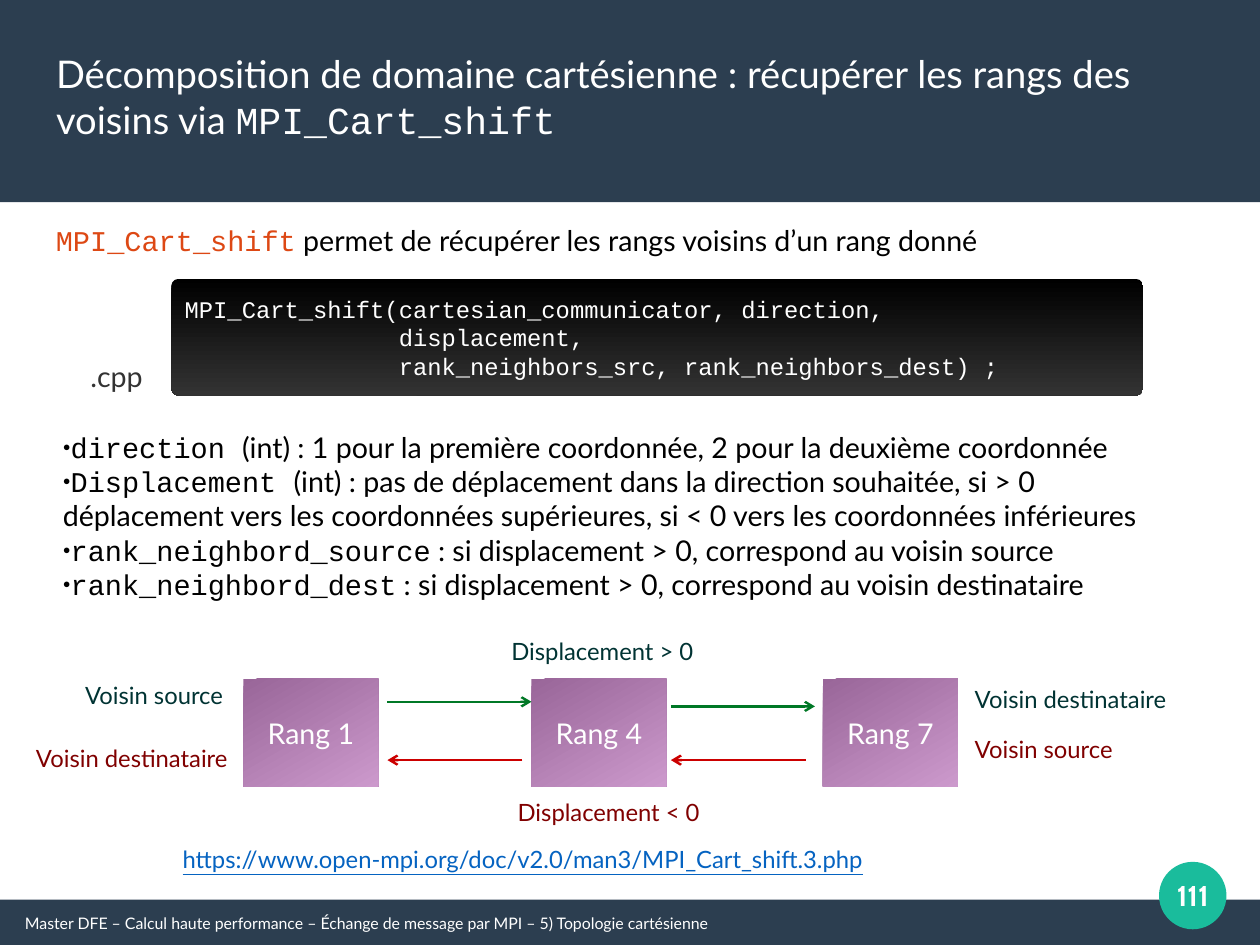
"""Builds the MPI_Cart_shift slide of the high-performance computing course."""
from dataclasses import dataclass
from typing import NamedTuple

from lxml.etree import SubElement
from pptx import Presentation
from pptx.dml.color import RGBColor
from pptx.enum.shapes import MSO_CONNECTOR as CONNECTOR, MSO_SHAPE as SHAPE
from pptx.enum.text import MSO_ANCHOR as ANCHOR, MSO_AUTO_SIZE as AUTO, PP_ALIGN as ALIGN
from pptx.oxml.ns import qn
from pptx.util import Inches, Pt


@dataclass(frozen=True)
class Theme:
    sans: str = "Lato"
    mono: str = "Courier New"
    number: str = "Cabin"
    white: str = "FFFFFF"
    black: str = "000000"
    grey: str = "333333"
    band: str = "2C3E50"
    badge: str = "1ABC9C"
    orange: str = "DD4814"
    link: str = "0563C1"
    purple: tuple[str, str] = ("996699", "CC99CC")
    up_text: str = "003333"
    up_line: str = "007826"
    down_text: str = "800000"
    down_line: str = "CC0000"
    title: int = 24
    body: int = 18
    label: int = 15
    footer: int = 10


T = Theme()


class Run(NamedTuple):
    text: str
    font: str = T.sans
    color: str | None = None


class Box(NamedTuple):
    left: float
    top: float
    width: float
    height: float


class Label(NamedTuple):
    text: str
    box: Box
    color: str
    align: ALIGN = ALIGN.LEFT
    size: int = T.label


class Arrow(NamedTuple):
    start: float
    end: float
    y: float
    color: str


CM_PER_INCH = 2.54
SLIDE_W, SLIDE_H = 28 / CM_PER_INCH, 21 / CM_PER_INCH
HEADER = Box(0, 0, SLIDE_W, 1.77)
FOOTER = Box(0, 7.87, SLIDE_W, SLIDE_H - 7.87)
BADGE = Box(10.14, 7.54, 0.59, 0.59)
RANKS = {"Rang 1": 2.13, "Rang 4": 4.65, "Rang 7": 7.2}
ARROWS = [
    Arrow(3.39, 4.65, 6.14, T.up_line),
    Arrow(5.87, 7.13, 6.18, T.up_line),
    Arrow(4.57, 3.39, 6.65, T.down_line),
    Arrow(7.05, 5.87, 6.65, T.down_line),
]
LABELS = [
    Label("Voisin source", Box(0.24, 5.91, 1.81, 0.44), T.up_text, ALIGN.RIGHT),
    Label("Voisin destinataire", Box(8.43, 5.94, 2.5, 0.44), T.up_text),
    Label("Voisin destinataire", Box(0.04, 6.46, 2.05, 0.43), T.down_text, ALIGN.RIGHT),
    Label("Voisin source", Box(8.43, 6.38, 2.5, 0.44), T.down_text),
    Label("Displacement < 0", Box(4.17, 6.93, 2.05, 0.43), T.down_text, ALIGN.RIGHT),
    Label("Displacement > 0", Box(4.13, 5.52, 2.28, 0.44), T.up_text, ALIGN.CENTER),
    Label(".cpp", Box(0.51, 3.09, 1.02, 0.44), T.grey, ALIGN.CENTER, T.body),
    Label("Master DFE – Calcul haute performance – Échange de message par MPI – 5) Topologie cartésienne",
          Box(0.12, 7.94, 9.45, 0.29), T.white, size=T.footer),
]
TITLE = [[Run("Décomposition de domaine cartésienne : récupérer les rangs des voisins via "),
          Run("MPI_Cart_shift", T.mono)]]
INTRO = [[Run("MPI_Cart_shift", T.mono, T.orange),
          Run(" permet de récupérer les rangs voisins d’un rang donné")]]
CODE = [[Run(line, T.mono)] for line in (
    "MPI_Cart_shift(cartesian_communicator, direction,",
    "               displacement,",
    "               rank_neighbors_src, rank_neighbors_dest) ;",
)]
PARAMETERS = [[Run(name, T.mono), Run(meaning)] for name, meaning in (
    ("direction ", "(int) : 1 pour la première coordonnée, 2 pour la deuxième coordonnée"),
    ("Displacement ", "(int) : pas de déplacement dans la direction souhaitée, si > 0 déplacement "
                      "vers les coordonnées supérieures, si < 0 vers les coordonnées inférieures"),
    ("rank_neighbord_source", " : si displacement > 0, correspond au voisin source"),
    ("rank_neighbord_dest", " : si displacement > 0, correspond au voisin destinataire"),
)]
LINK = [[Run("https://www.open-mpi.org/doc/v2.0/man3/MPI_Cart_shift.3.php")]]


def inches(box: Box) -> list[int]:
    return [Inches(value) for value in box]


def write(sp, paragraphs: list[list[Run]], *, size: int, color: str = T.black, align: ALIGN = ALIGN.LEFT,
          anchor: ANCHOR = ANCHOR.TOP, bold: bool = False, underline: bool = False,
          bullet: bool = False, inset: tuple[float, float] = (0.1, 0.05)) -> None:
    tf = sp.text_frame
    tf.word_wrap, tf.auto_size, tf.vertical_anchor = True, AUTO.NONE, anchor
    tf.margin_left = tf.margin_right = Inches(inset[0])
    tf.margin_top = tf.margin_bottom = Inches(inset[1])
    for i, runs in enumerate(paragraphs):
        p = tf.add_paragraph() if i else tf.paragraphs[0]
        if bullet:
            add_bullet(p)
        p.alignment, p.line_spacing = align, 1.0
        p.space_before = p.space_after = Pt(0)
        for run in runs:
            r = p.add_run()
            r.text = run.text
            r.font.name, r.font.size = run.font, Pt(size)
            r.font.bold, r.font.underline = bold, underline
            r.font.color.rgb = RGBColor.from_string(run.color or color)


def add_bullet(p) -> None:
    pPr = p._p.get_or_add_pPr()
    pPr.set("marL", "0")
    pPr.set("indent", "0")
    SubElement(pPr, qn("a:buSzPct")).set("val", "45000")
    SubElement(pPr, qn("a:buChar")).set("char", "●")


def add_block(slide, kind: SHAPE, box: Box, *colors: str, angle: int = 0):
    sp = slide.shapes.add_shape(kind, *inches(box))
    sp.shadow.inherit = False
    sp.line.fill.background()
    if len(colors) == 1:
        sp.fill.solid()
        sp.fill.fore_color.rgb = RGBColor.from_string(colors[0])
    else:
        sp.fill.gradient()
        sp.fill.gradient_angle = 360 - angle
        for stop, color in zip(sp.fill.gradient_stops, colors):
            stop.color.rgb = RGBColor.from_string(color)
    return sp


def add_arrow(slide, arrow: Arrow) -> None:
    y = Inches(arrow.y)
    line = slide.shapes.add_connector(CONNECTOR.STRAIGHT, Inches(arrow.start), y, Inches(arrow.end), y)
    line.line.width = Pt(1.5)
    line.line.color.rgb = RGBColor.from_string(arrow.color)
    spPr = line.element.spPr
    SubElement(spPr.find(qn("a:ln")), qn("a:tailEnd")).set("type", "arrow")
    SubElement(spPr, qn("a:effectLst"))


def place(sp, box: Box) -> None:
    sp.left, sp.top, sp.width, sp.height = inches(box)
    sp.element.getparent().append(sp.element)


def main() -> None:
    prs = Presentation()
    prs.slide_width, prs.slide_height = Inches(SLIDE_W), Inches(SLIDE_H)
    slide = prs.slides.add_slide(prs.slide_layouts[1])
    title, body = slide.placeholders

    for band in (FOOTER, HEADER):
        add_block(slide, SHAPE.RECTANGLE, band, T.band)
    badge = add_block(slide, SHAPE.OVAL, BADGE, T.badge)
    write(badge, [[Run("111", T.number)]], size=T.body, color=T.white, align=ALIGN.CENTER,
          anchor=ANCHOR.MIDDLE, bold=True, inset=(0, 0))
    place(title, Box(0.39, 0.39, 10.17, 1.01))
    write(title, TITLE, size=T.title, color=T.white)

    intro = slide.shapes.add_textbox(*inches(Box(0.39, 1.9, 10.39, 0.46)))
    write(intro, INTRO, size=T.body)
    code = add_block(slide, SHAPE.ROUNDED_RECTANGLE, Box(1.5, 2.44, 8.5, 1.02), T.black, T.grey, angle=90)
    code.adjustments[0] = 0.06
    write(code, CODE, size=T.label, color=T.white, anchor=ANCHOR.MIDDLE)
    place(body, Box(0.45, 3.71, 10.11, 1.92))
    write(body, PARAMETERS, size=T.body, bullet=True)

    for name, left in RANKS.items():
        rank = add_block(slide, SHAPE.RECTANGLE, Box(left, 5.94, 1.18, 0.94), *T.purple, angle=60)
        write(rank, [[Run(name)]], size=T.body, color=T.white, align=ALIGN.CENTER, anchor=ANCHOR.MIDDLE)
    for arrow in ARROWS:
        add_arrow(slide, arrow)
    for label in LABELS:
        sp = slide.shapes.add_textbox(*inches(label.box))
        write(sp, [[Run(label.text)]], size=label.size, color=label.color, align=label.align)
    link = slide.shapes.add_textbox(*inches(Box(1.5, 7.34, 8.43, 0.46)))
    write(link, LINK, size=T.label, color=T.link, underline=True)
    prs.save("out.pptx")


if __name__ == "__main__":
    main()
